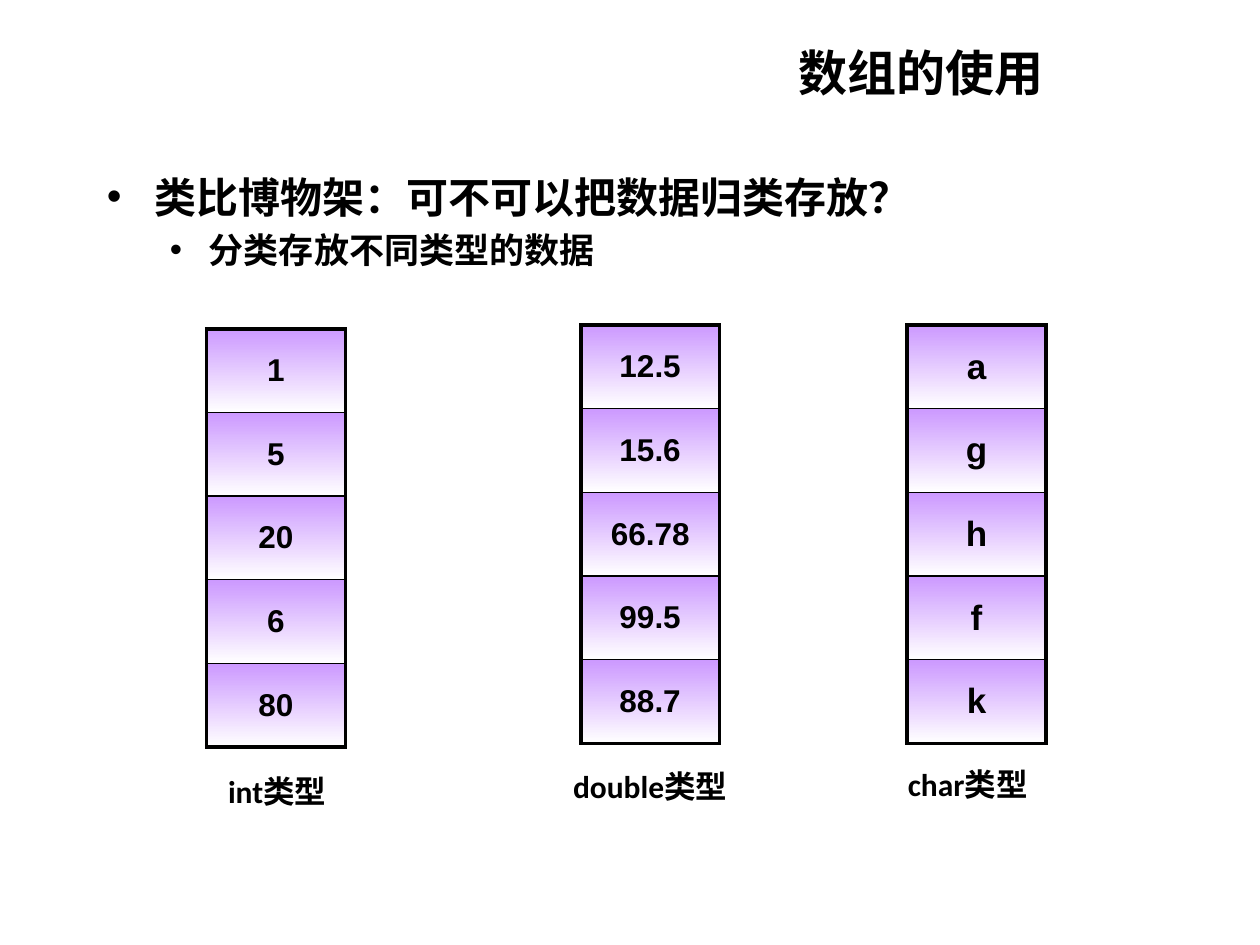
"""Build a slide that sorts data into int, double and char arrays."""
from lxml import etree
from pptx import Presentation
from pptx.dml.color import RGBColor
from pptx.enum.text import MSO_ANCHOR, PP_ALIGN
from pptx.oxml.ns import qn
from pptx.util import Inches, Pt

CENTER = PP_ALIGN.CENTER
MIDDLE = MSO_ANCHOR.MIDDLE
COLORS = {"ink": "000000", "violet": "CC99FF", "white": "FFFFFF"}

TITLE = "数组的使用"
BULLETS = [
    {"text": "类比博物架：可不可以把数据归类存放？", "level": 0, "size": 24, "margin": 0.38, "hanging": 0.38},
    {"text": "分类存放不同类型的数据", "level": 1, "size": 20, "margin": 0.81, "hanging": 0.31},
]
ARRAYS = [
    {"values": ["1", "5", "20", "6", "80"], "size": 18, "at": (1.64, 2.61),
     "label": "int类型", "label_at": (1.41, 6.08)},
    {"values": ["12.5", "15.6", "66.78", "99.5", "88.7"], "size": 18, "at": (4.61, 2.58),
     "label": "double类型", "label_at": (4.37, 6.04)},
    {"values": ["a", "g", "h", "f", "k"], "size": 20, "at": (7.2, 2.58),
     "label": "char类型", "label_at": (6.89, 6.02)},
]
CELL_WIDTH, ARRAY_HEIGHT = 1.1, 3.32
LABEL_WIDTH, LABEL_HEIGHT = 1.58, 0.37
OUTER_LINE, INNER_LINE = 2.25, 1


def color(name):
    return RGBColor.from_string(COLORS[name])


def format_runs(paragraph, size, font_name):
    for run in paragraph.runs:
        run.font.size = Pt(size)
        run.font.name = font_name
        run.font.bold = True
        run.font.color.rgb = color("ink")


def add_text(slide, box, text, size, anchor=MSO_ANCHOR.TOP):
    shape = slide.shapes.add_textbox(*map(Inches, box))
    text_frame = shape.text_frame
    text_frame.word_wrap = True
    text_frame.vertical_anchor = anchor
    text_frame.text = text
    paragraph = text_frame.paragraphs[0]
    paragraph.alignment = CENTER
    format_runs(paragraph, size, "Calibri")


def add_bullets(slide, box):
    text_frame = slide.shapes.add_textbox(*map(Inches, box)).text_frame
    text_frame.word_wrap = True
    text_frame.text = "\n".join(bullet["text"] for bullet in BULLETS)
    for paragraph, bullet in zip(text_frame.paragraphs, BULLETS):
        paragraph.level = bullet["level"]
        paragraph.space_before = Pt(0.2 * bullet["size"])
        format_runs(paragraph, bullet["size"], "Calibri")
        properties = paragraph._p.get_or_add_pPr()
        properties.set("marL", str(Inches(bullet["margin"])))
        properties.set("indent", str(-Inches(bullet["hanging"])))
        etree.SubElement(properties, qn("a:buFont"), typeface="Arial")
        etree.SubElement(properties, qn("a:buChar"), char="•")


def set_borders(cell, widths):
    properties = cell._tc.get_or_add_tcPr()
    for index, (side, width) in enumerate(widths.items()):
        line = etree.Element(qn(f"a:ln{side}"), w=str(Pt(width)))
        fill = etree.SubElement(line, qn("a:solidFill"))
        etree.SubElement(fill, qn("a:srgbClr"), val=COLORS["ink"])
        properties.insert(index, line)


def add_array(slide, array):
    values = array["values"]
    box = (*array["at"], CELL_WIDTH, ARRAY_HEIGHT)
    table = slide.shapes.add_table(len(values), 1, *map(Inches, box)).table
    table.first_row = table.horz_banding = False
    for row, value in enumerate(values):
        cell = table.cell(row, 0)
        cell.text = value
        cell.vertical_anchor = MIDDLE
        paragraph = cell.text_frame.paragraphs[0]
        paragraph.alignment = CENTER
        format_runs(paragraph, array["size"], "Arial")
        cell.fill.gradient()
        cell.fill.gradient_angle = 270
        for stop, name in zip(cell.fill.gradient_stops, ("violet", "white")):
            stop.color.rgb = color(name)
        set_borders(cell, {
            "L": OUTER_LINE,
            "R": OUTER_LINE,
            "T": OUTER_LINE if row == 0 else INNER_LINE,
            "B": OUTER_LINE if row == len(values) - 1 else INNER_LINE,
        })
    add_text(slide, (*array["label_at"], LABEL_WIDTH, LABEL_HEIGHT), array["label"], 18)


def main():
    presentation = Presentation()
    presentation.slide_width, presentation.slide_height = Inches(10), Inches(7.5)
    slide = presentation.slides.add_slide(presentation.slide_layouts[6])
    add_bullets(slide, (0.75, 1.31, 9.06, 1.03))
    add_text(slide, (5.16, 0.31, 4.3, 0.52), TITLE, 28, MIDDLE)
    for array in ARRAYS:
        add_array(slide, array)
    presentation.save("out.pptx")


if __name__ == "__main__":
    main()
